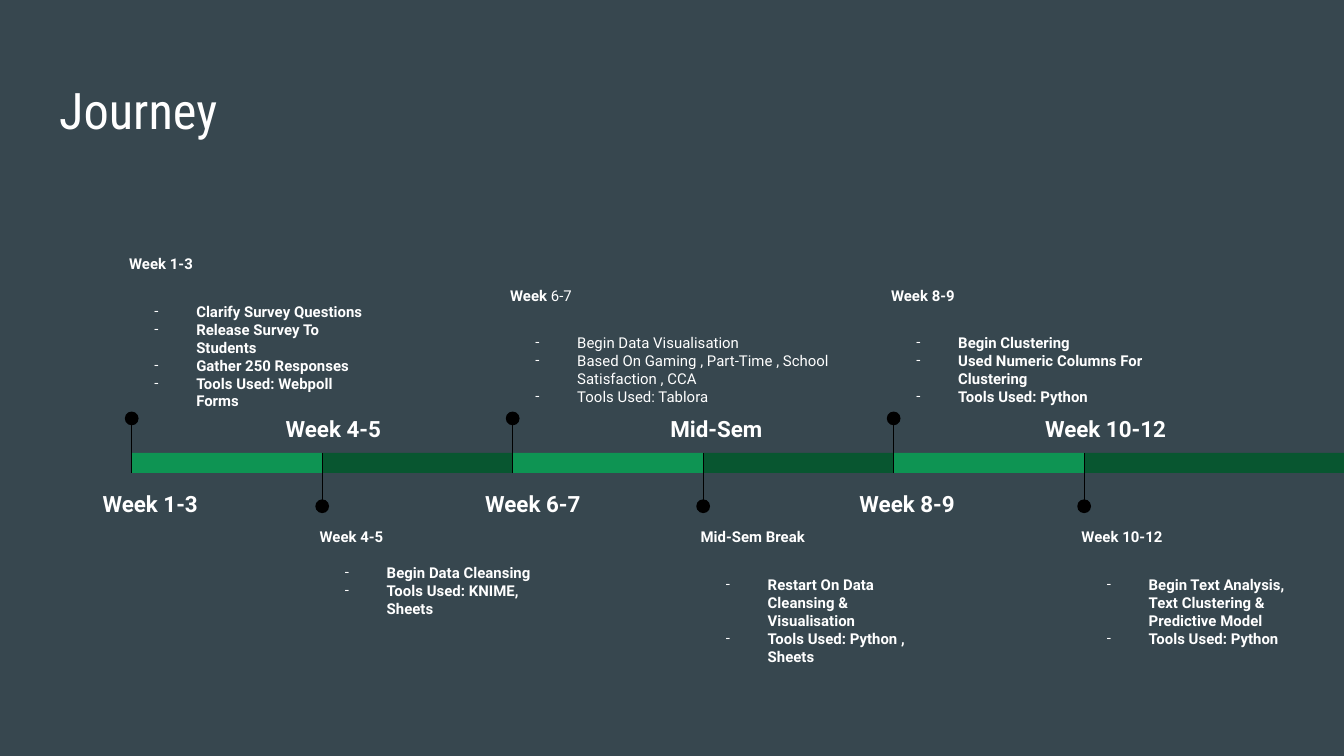
from dataclasses import dataclass

from lxml import etree
from pptx import Presentation
from pptx.dml.color import RGBColor
from pptx.enum.shapes import MSO_CONNECTOR, MSO_SHAPE
from pptx.enum.text import MSO_ANCHOR, PP_ALIGN
from pptx.oxml.ns import qn
from pptx.util import Cm, Pt

RECT, OVAL = MSO_SHAPE.RECTANGLE, MSO_SHAPE.OVAL
STRAIGHT = MSO_CONNECTOR.STRAIGHT
LEFT, CENTER = PP_ALIGN.LEFT, PP_ALIGN.CENTER
TOP = MSO_ANCHOR.TOP

# Timeline geometry in cm
SLIDE_W, SLIDE_H = 25.4, 14.29
START_X, STEP = 2.49, 3.6
BAR_Y, BAR_H = 8.56, 0.38
DOT = 0.26
INSET = 0.25


@dataclass(frozen=True)
class Theme:
    background: str = "37474F"
    text: str = "FFFFFF"
    marker: str = "000000"
    bars: tuple = ("0E9453", "085630")
    heading_font: str = "Roboto Condensed"
    body_font: str = "Roboto"
    title_size: float = 27
    label_size: float = 12
    note_size: float = 8
    line_width: float = 0.75


@dataclass(frozen=True)
class Phase:
    label: str
    label_x: float
    label_w: float
    heading: tuple  # (text, bold) runs
    items: tuple
    note_y: float
    note_w: float
    items_bold: bool = True
    gap: float = 16


PHASES = (
    Phase("Week 1-3", 1.57, 2.54, (("Week 1-3", True),),
          ("Clarify Survey Questions", "Release Survey To Students",
           "Gather 250 Responses", "Tools Used: Webpoll Forms"), 4.57, 5.05),
    Phase("Week 4-5", 5.08, 2.44, (("Week 4-5", True),),
          ("Begin Data Cleansing", "Tools Used: KNIME, Sheets"), 9.73, 4.67, gap=9.4),
    Phase("Week 6-7", 8.76, 2.62, (("Week ", True), ("6-7", False)),
          ("Begin Data Visualisation",
           "Based On Gaming , Part-Time , School Satisfaction , CCA",
           "Tools Used: Tablora"), 5.16, 6.55, items_bold=False),
    Phase("Mid-Sem", 12.27, 2.54, (("Mid-Sem Break", True),),
          ("Restart On Data Cleansing & Visualisation",
           "Tools Used: Python , Sheets"), 9.73, 4.67),
    Phase("Week 8-9", 15.85, 2.59, (("Week 8-9", True),),
          ("Begin Clustering", "Used Numeric Columns For Clustering",
           "Tools Used: Python"), 5.16, 6.2),
    Phase("Week 10-12", 19.46, 2.87, (("Week 10-12", True),),
          ("Begin Text Analysis, Text Clustering & Predictive Model",
           "Tools Used: Python"), 9.73, 4.67),
)


def add_text(p, text, *, font, size, color, bold=False, align=LEFT):
    """Append a formatted run to a paragraph."""
    p.alignment = align
    r = p.add_run()
    r.text = text
    r.font.name = font
    r.font.size = Pt(size)
    r.font.bold = bold
    r.font.color.rgb = RGBColor.from_string(color)


class Timeline:
    def __init__(self, slide, theme):
        self.s = slide
        self.theme = theme
        fill = slide.background.fill
        fill.solid()
        fill.fore_color.rgb = RGBColor.from_string(theme.background)

    def frame(self, x, y, w, h):
        tf = self.s.shapes.add_textbox(Cm(x), Cm(y), Cm(w), Cm(h)).text_frame
        tf.word_wrap = True
        tf.vertical_anchor = TOP
        tf.margin_left = tf.margin_right = Cm(INSET)
        tf.margin_top = tf.margin_bottom = Cm(INSET)
        return tf

    def title(self, text):
        t = self.theme
        tf = self.frame(0.87, 1.24, 23.67, 1.6)
        add_text(tf.paragraphs[0], text, font=t.heading_font,
                 size=t.title_size, color=t.text)

    def shape(self, kind, x, y, w, h, color):
        sp = self.s.shapes.add_shape(kind, Cm(x), Cm(y), Cm(w), Cm(h))
        sp.shadow.inherit = False
        sp.fill.solid()
        sp.fill.fore_color.rgb = RGBColor.from_string(color)
        sp.line.fill.background()

    def label(self, phase, y):
        t = self.theme
        p = self.frame(phase.label_x, y, phase.label_w, 1.04).paragraphs[0]
        p.line_spacing = 1.15
        add_text(p, phase.label, font=t.body_font, size=t.label_size,
                 color=t.text, bold=True, align=CENTER)

    def bullet(self, p):
        pPr = p._p.get_or_add_pPr()
        pPr.set("marL", str(Cm(1.27)))
        pPr.set("indent", str(Cm(-0.79)))
        color = etree.SubElement(pPr, qn("a:buClr"))
        etree.SubElement(color, qn("a:srgbClr"), val=self.theme.text)
        etree.SubElement(pPr, qn("a:buFont"), typeface=self.theme.body_font)
        etree.SubElement(pPr, qn("a:buChar"), char="-")

    def note(self, phase, x):
        t = self.theme
        style = dict(font=t.body_font, size=t.note_size, color=t.text)
        tf = self.frame(x, phase.note_y, phase.note_w, 2.62)
        for text, bold in phase.heading:
            add_text(tf.paragraphs[0], text, bold=bold, **style)
        for i, item in enumerate(phase.items):
            p = tf.add_paragraph()
            self.bullet(p)
            if i == 0:
                p.space_before = Pt(phase.gap)
            add_text(p, item, bold=phase.items_bold, **style)

    def pin(self, x, dot_y, end_y):
        """A stem from the bar to a round marker."""
        t = self.theme
        self.shape(OVAL, x - DOT / 2, dot_y - DOT / 2, DOT, DOT, t.marker)
        line = self.s.shapes.add_connector(STRAIGHT, Cm(x), Cm(dot_y), Cm(x), Cm(end_y))
        line.line.color.rgb = RGBColor.from_string(t.marker)
        line.line.width = Pt(t.line_width)
        etree.SubElement(line._element.spPr, qn("a:effectLst"))

    def phase(self, i, phase):
        x = START_X + i * STEP
        below = i % 2 == 1
        w = SLIDE_W - x if i == len(PHASES) - 1 else STEP
        self.shape(RECT, x, BAR_Y, w, BAR_H, self.theme.bars[i % 2])
        self.label(phase, 7.52 if below else 8.94)
        self.note(phase, x - 0.3)
        if below:
            self.pin(x, 9.57, BAR_Y)
        else:
            self.pin(x, 7.91, BAR_Y + BAR_H)


def main():
    prs = Presentation()
    prs.slide_width, prs.slide_height = Cm(SLIDE_W), Cm(SLIDE_H)
    timeline = Timeline(prs.slides.add_slide(prs.slide_layouts[6]), Theme())

    # Heading
    timeline.title("Journey")

    # Phases, alternating above and below the bar
    for i, phase in enumerate(PHASES):
        timeline.phase(i, phase)

    prs.save("out.pptx")


if __name__ == "__main__":
    main()
